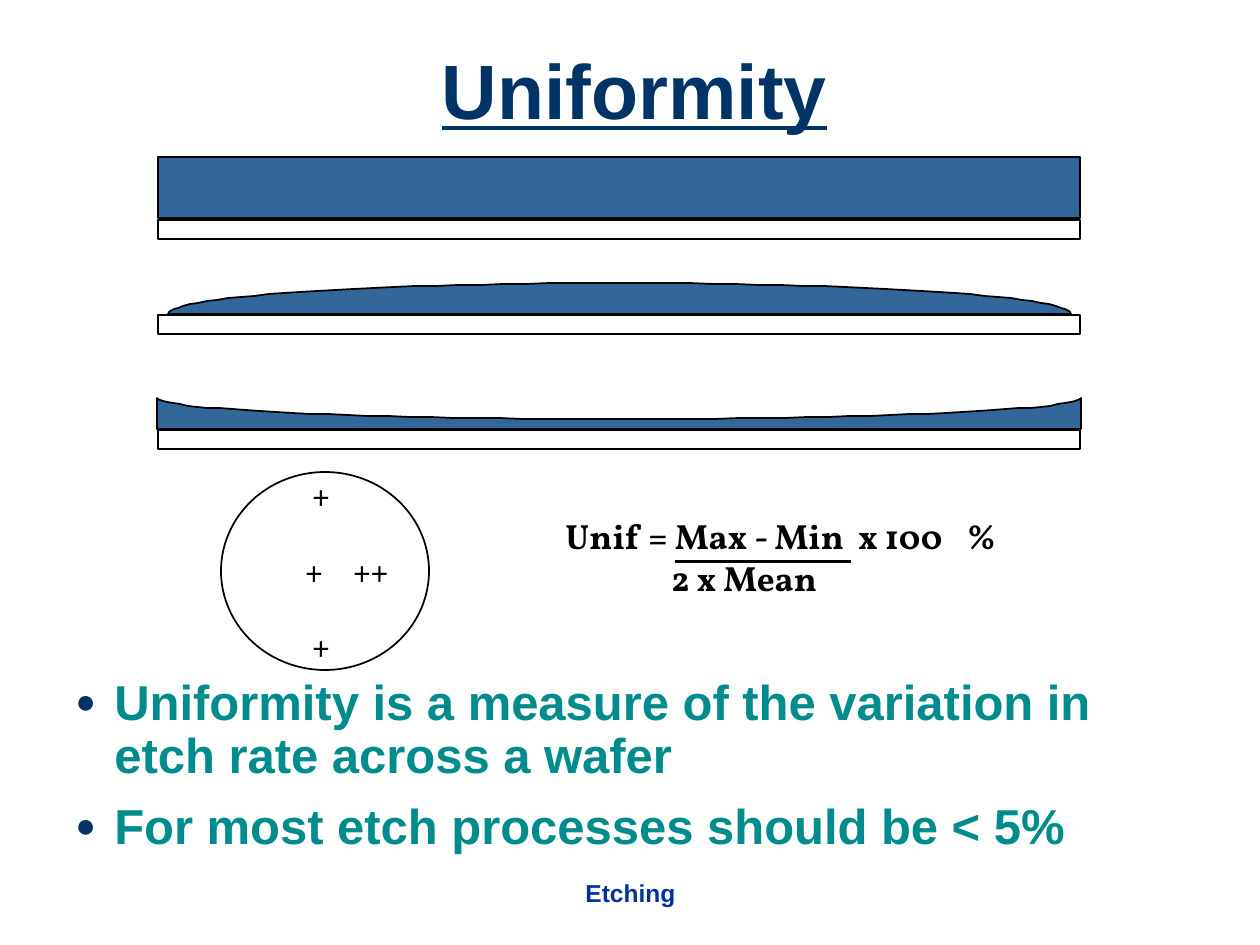
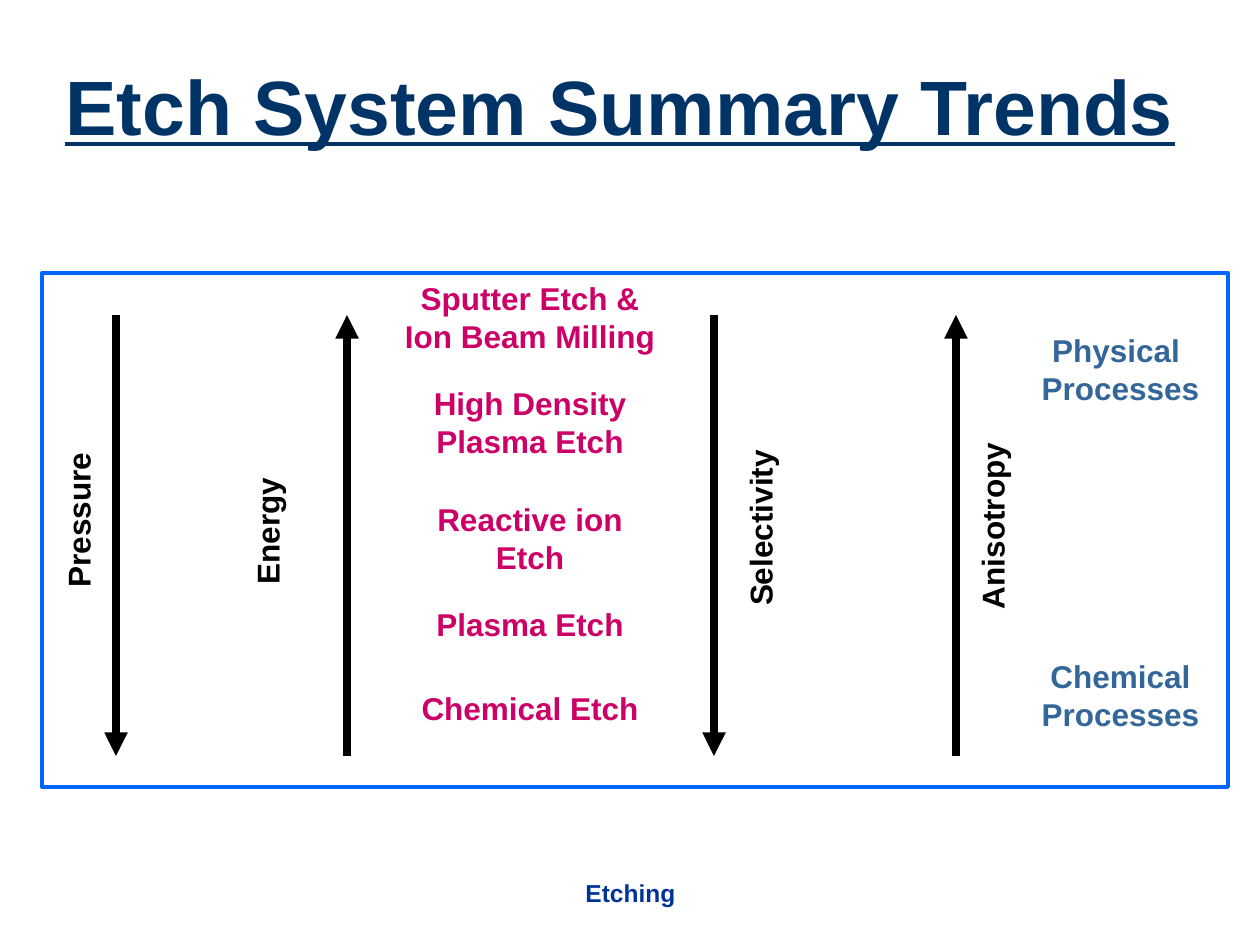
import math

from lxml import etree
from pptx import Presentation
from pptx.dml.color import RGBColor
from pptx.enum.shapes import MSO_CONNECTOR, MSO_SHAPE
from pptx.enum.text import MSO_ANCHOR, MSO_AUTO_SIZE, PP_ALIGN
from pptx.oxml.ns import qn
from pptx.util import Emu, Pt

PX_PER_INCH = 126
EMU_PER_PX = 914400 / PX_PER_INCH
TITLE_ONLY = 5

RECTANGLE, ELLIPSE = MSO_SHAPE.RECTANGLE, MSO_SHAPE.OVAL
STRAIGHT = MSO_CONNECTOR.STRAIGHT
TOP, MIDDLE = MSO_ANCHOR.TOP, MSO_ANCHOR.MIDDLE
LEFT, CENTER = PP_ALIGN.LEFT, PP_ALIGN.CENTER
NO_AUTOFIT = MSO_AUTO_SIZE.NONE

SANS, SERIF = "Arial", "Vollkorn"
BLACK, WHITE = "000000", "FFFFFF"
NAVY, FOOTER_BLUE, FRAME_BLUE = "003366", "003399", "0066FF"
FILM_BLUE, TEAL, MAGENTA = "336699", "008C8C", "CC0066"

WAFER_LEFT, WAFER_WIDTH, WAFER_HEIGHT = 158, 922, 19


def px(value):
    return Emu(round(value * EMU_PER_PX))


def color(hex_string):
    return RGBColor.from_string(hex_string)


def set_font(paragraph, size, hex_color, name=SANS):
    font = paragraph.font
    font.name, font.size, font.bold = name, Pt(size), True
    font.color.rgb = color(hex_color)


def place(shape, box):
    shape.left, shape.top, shape.width, shape.height = map(px, box)


def style_shape(shape, fill, line_width=1, line=BLACK):
    shape.shadow.inherit = False
    if fill:
        shape.fill.solid()
        shape.fill.fore_color.rgb = color(fill)
    else:
        shape.fill.background()
    shape.line.color.rgb = color(line)
    shape.line.width = Pt(line_width)


def add_preset(slide, preset, box, fill=None, line_width=1, line=BLACK):
    shape = slide.shapes.add_shape(preset, *map(px, box))
    style_shape(shape, fill, line_width, line)


def add_outline(slide, points, fill):
    builder = slide.shapes.build_freeform(*points[0], scale=EMU_PER_PX)
    builder.add_line_segments(points[1:], close=True)
    style_shape(builder.convert_to_shape(), fill)


def add_text(slide, box, lines, size, hex_color, name=SANS, align=CENTER,
             anchor=MIDDLE, wrap=True, rotation=0):
    """Add a text box with one paragraph a line and return its paragraphs."""
    text_box = slide.shapes.add_textbox(*map(px, box))
    text_box.rotation = rotation
    frame = text_box.text_frame
    frame.word_wrap, frame.vertical_anchor = wrap, anchor
    frame.text = "\n".join(lines)
    for paragraph in frame.paragraphs:
        paragraph.alignment = align
        set_font(paragraph, size, hex_color, name)
    return frame.paragraphs


def set_indent(paragraph, margin, first_line=0):
    properties = paragraph._p.get_or_add_pPr()
    properties.set("marL", str(px(margin)))
    properties.set("indent", str(px(first_line)))
    return properties


def add_tab(paragraph, position):
    tabs = etree.Element(qn("a:tabLst"))
    etree.SubElement(tabs, qn("a:tab"), pos=str(px(position)), algn="l")
    paragraph._p.get_or_add_pPr().append(tabs)


def add_bullet(paragraph):
    properties = set_indent(paragraph, 39, -39)
    bullet_color = etree.SubElement(properties, qn("a:buClr"))
    etree.SubElement(bullet_color, qn("a:srgbClr"), val=NAVY)
    etree.SubElement(properties, qn("a:buSzPct"), val="70000")
    etree.SubElement(properties, qn("a:buFont"), typeface=SANS)
    etree.SubElement(properties, qn("a:buChar"), char="●")


def add_bullets(slide, box, lines):
    text_box = slide.shapes.add_textbox(*map(px, box))
    frame = text_box.text_frame
    frame.word_wrap = True
    frame.text = "\n".join(lines)
    for index, paragraph in enumerate(frame.paragraphs):
        paragraph.line_spacing = 0.9
        if index:
            paragraph.space_before = Pt(10.5)
        add_bullet(paragraph)
        set_font(paragraph, 28, TEAL)


def add_arrow(slide, x, start, end):
    arrow = slide.shapes.add_connector(STRAIGHT, px(x), px(start), px(x), px(end))
    arrow.line.color.rgb = color(BLACK)
    arrow.line.width = Pt(4.5)
    etree.SubElement(arrow.line._get_or_add_ln(), qn("a:tailEnd"), type="triangle")
    etree.SubElement(arrow._element.spPr, qn("a:effectLst"))


def add_titled_slide(presentation, title, title_box):
    slide = presentation.slides.add_slide(presentation.slide_layouts[TITLE_ONLY])
    place(slide.shapes.title, title_box)
    frame = slide.shapes.title.text_frame
    frame.text = title
    frame.word_wrap, frame.auto_size = True, NO_AUTOFIT
    frame.vertical_anchor = MIDDLE
    paragraph = frame.paragraphs[0]
    paragraph.alignment, paragraph.line_spacing = CENTER, 0.9
    set_font(paragraph, 44, NAVY)
    paragraph.font.underline = True
    add_text(slide, (431, 861, 399, 63), ["Etching"], 14, FOOTER_BLUE)
    return slide


def half_ellipse(left, right, base, height, steps=60):
    """Points from left to right; a negative height curves downwards."""
    center, radius = (left + right) / 2, (right - left) / 2
    angles = [math.pi * step / steps for step in range(steps + 1)]
    return [(center - radius * math.cos(angle), base - height * math.sin(angle))
            for angle in angles]


def add_wafers(slide):
    add_preset(slide, RECTANGLE, (WAFER_LEFT, 157, WAFER_WIDTH, 61), FILM_BLUE)
    add_outline(slide, half_ellipse(168, 1071, 314, 31), FILM_BLUE)
    bowl = half_ellipse(157, 1081, 398, -21)
    add_outline(slide, bowl + [(1081, 429), (157, 429)], FILM_BLUE)
    for top in (220, 315, 430):
        add_preset(slide, RECTANGLE, (WAFER_LEFT, top, WAFER_WIDTH, WAFER_HEIGHT))


def add_measuring_points(slide):
    add_preset(slide, ELLIPSE, (221, 472, 208, 198), WHITE)
    rows = add_text(slide, (293, 469, 120, 202), ["+", "+\t++", "+"], 18, BLACK,
                    SERIF, LEFT, TOP)
    upper, middle, lower = rows
    for row in (upper, lower):
        set_indent(row, 7)
    add_tab(middle, 48)
    for row in (middle, lower):
        row.space_before = Pt(21.6)


def add_formula(slide):
    numerator, denominator = add_text(
        slide, (553, 508, 483, 97), ["Unif = ", "2 x Mean"], 20, BLACK,
        SERIF, LEFT, TOP)
    add_tab(numerator, 401)
    fraction = numerator.add_run()
    fraction.text = "Max - Min "
    numerator.add_run().text = " x 100\t%"
    for run in numerator.runs:
        run.font.name, run.font.size, run.font.bold = SERIF, Pt(20), True
        run.font.color.rgb = color(BLACK)
    fraction.font.underline = True
    set_indent(denominator, 106)


def build_uniformity(presentation):
    slide = add_titled_slide(presentation, "Uniformity", (179, 42, 911, 105))
    add_wafers(slide)
    add_measuring_points(slide)
    add_formula(slide)
    add_bullets(slide, (63, 672, 1134, 220), [
        "Uniformity is a measure of the variation in etch rate across a wafer",
        "For most etch processes should be < 5%",
    ])


def build_trends(presentation):
    slide = add_titled_slide(presentation, "Etch System Summary Trends",
                             (32, 32, 1176, 157))
    add_preset(slide, RECTANGLE, (42, 273, 1186, 514), WHITE, 2.25, FRAME_BLUE)

    high, low = 315, 756
    trends = [  # name, label centre x and y, arrow x, start, end
        ("Pressure", 78, 520, 116, high, low),
        ("Energy", 267, 531, 347, low, high),
        ("Selectivity", 760, 528, 714, high, low),
        ("Anisotropy", 992, 526, 956, low, high),
    ]
    for name, label_x, label_y, arrow_x, start, end in trends:
        add_arrow(slide, arrow_x, start, end)
        add_text(slide, (label_x - 100, label_y - 25, 200, 50), [name], 18, BLACK,
                 wrap=False, rotation=270)

    for top, kind in ((325, "Physical "), (651, "Chemical")):
        add_text(slide, (1029, top, 183, 88), [kind, "Processes"], 18, FILM_BLUE)

    methods = [
        (273, 88, ["Sputter Etch &", "Ion Beam Milling"]),
        (378, 88, ["High Density Plasma Etch"]),
        (494, 88, ["Reactive ion Etch"]),
        (599, 50, ["Plasma Etch"]),
        (683, 50, ["Chemical Etch"]),
    ]
    for top, height, lines in methods:
        add_text(slide, (388, top, 284, height), lines, 18, MAGENTA)


def main():
    presentation = Presentation()
    presentation.slide_width = px(10 * PX_PER_INCH)
    presentation.slide_height = px(7.5 * PX_PER_INCH)
    build_uniformity(presentation)
    build_trends(presentation)
    presentation.save("out.pptx")


if __name__ == "__main__":
    main()
